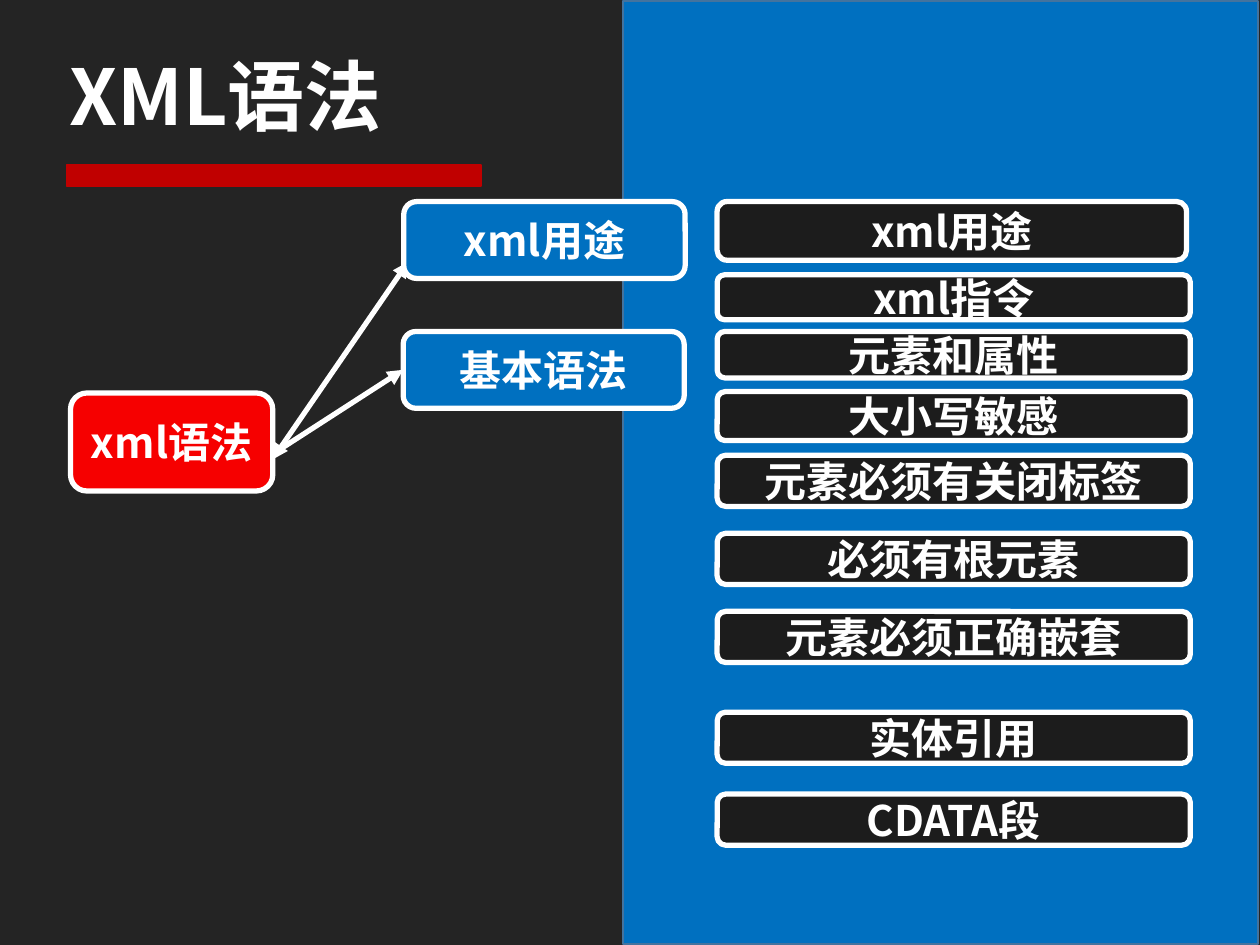
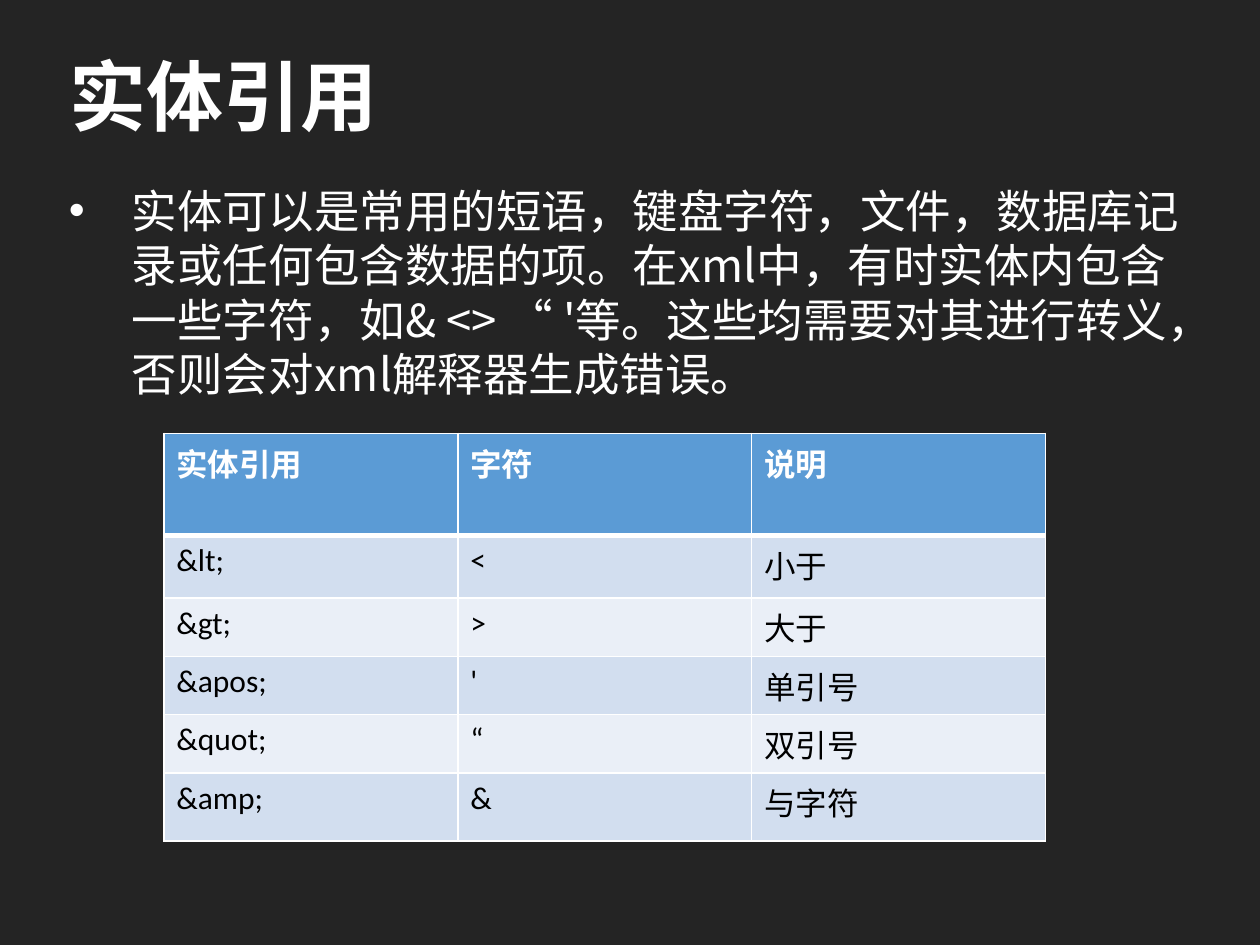
from dataclasses import dataclass

from lxml import etree
from pptx import Presentation
from pptx.dml.color import RGBColor
from pptx.enum import shapes, text
from pptx.oxml import ns
from pptx.util import Pt

SANS = "Noto Sans CJK SC"
WHITE, BLACK, DARK = "FFFFFF", "000000", "242424"
BLUE, RED, CRIMSON, COAL = "0070C0", "F60000", "C00000", "1C1C1C"
EDGE, HEAD = "43739E", "5B9BD5"
BANDS = ("D2DEEF", "EAEFF7")


@dataclass
class Box:
    words: str
    left: float
    top: float
    width: float
    height: float
    fill: str
    line: str = WHITE
    weight: float = 3
    kind: shapes.MSO_SHAPE = shapes.MSO_SHAPE.FLOWCHART_ALTERNATE_PROCESS


@dataclass
class Row:
    words: str
    top: float
    height: float = 29.2
    width: float = 270.4


@dataclass
class Arrow:
    start: tuple[float, float]
    end: tuple[float, float]
    tips: tuple[str, ...]


PANEL = Box("", 356, 0.7, 363, 538.8, BLUE, EDGE, 1, shapes.MSO_SHAPE.RECTANGLE)
RULE = Box("", 38, 94.2, 237, 12.2, CRIMSON, CRIMSON, 1, shapes.MSO_SHAPE.RECTANGLE)
ROOT = Box("xml语法", 40.3, 224.6, 115.6, 56, RED)
USE = Box("xml用途", 230.7, 115.2, 160.8, 43.9, BLUE)
BASE = Box("基本语法", 230.4, 189.4, 160.6, 43.9, BLUE)
TOPICS = [
    Row("xml用途", 115.2, 33.5, 268.2),
    Row("xml指令", 157, 25.7),
    Row("元素和属性", 189.4, 26.6),
    Row("大小写敏感", 223.8, 28),
    Row("元素必须有关闭标签", 260.2),
    Row("必须有根元素", 304.8),
    Row("元素必须正确嵌套", 349.4),
    Row("实体引用", 407),
    Row("CDATA段", 453.8),
]
TO_USE = Arrow((155.7, 262.6), (233.3, 149.6), ("headEnd", "tailEnd"))
TO_BASE = Arrow((158.4, 257.8), (230.4, 211.4), ("tailEnd",))

NOTE = (
    "实体可以是常用的短语，键盘字符，文件，数据库记录或任何包含数据的项。"
    "在xml中，有时实体内包含一些字符，如& <> “ '等。"
    "这些均需要对其进行转义，否则会对xml解释器生成错误。"
)
CELLS = [
    ("实体引用", "字符", "说明"),
    ("&lt;", "<", "小于"),
    ("&gt;", ">", "大于"),
    ("&apos;", "'", "单引号"),
    ("&quot;", "“", "双引号"),
    ("&amp;", "&", "与字符"),
]
HEIGHTS = (58.3, 35.8, 31.7, 26.6, 20.9, 38.9)


def tint(code: str) -> RGBColor:
    return RGBColor.from_string(code)


def paint(item, code: str) -> None:
    item.fill.solid()
    item.fill.fore_color.rgb = tint(code)


def style(para, size: float, code: str = WHITE, bold: bool = True, face: str = SANS) -> None:
    font = para.font
    font.size, font.bold, font.name = Pt(size), bold, face
    font.color.rgb = tint(code)
    base = para._p.pPr.find(ns.qn("a:defRPr"))
    etree.SubElement(base, ns.qn("a:ea"), typeface=SANS)


def place(item, left: float, top: float, width: float, height: float) -> None:
    item.left, item.top = Pt(left), Pt(top)
    item.width, item.height = Pt(width), Pt(height)


def start(deck, layout: int, title: str):
    slide = deck.slides.add_slide(deck.slide_layouts[layout])
    paint(slide.background, DARK)
    head = slide.shapes.title
    place(head, 32.4, 16.6, 654.5, 75)
    frame = head.text_frame
    frame.text = title
    frame.auto_size = text.MSO_AUTO_SIZE.NONE
    frame.vertical_anchor = text.MSO_ANCHOR.MIDDLE
    para = frame.paragraphs[0]
    para.alignment = text.PP_ALIGN.LEFT
    style(para, 44)
    return slide


def draw(slide, box: Box):
    shape = slide.shapes.add_shape(
        box.kind, Pt(box.left), Pt(box.top), Pt(box.width), Pt(box.height)
    )
    shape.shadow.inherit = False
    paint(shape, box.fill)
    shape.line.color.rgb = tint(box.line)
    shape.line.width = Pt(box.weight)
    if box.words:
        frame = shape.text_frame
        frame.text = box.words
        frame.word_wrap = False
        frame.vertical_anchor = text.MSO_ANCHOR.MIDDLE
        para = frame.paragraphs[0]
        para.alignment = text.PP_ALIGN.CENTER
        style(para, 24)
    return shape


def point(slide, arrow: Arrow):
    link = slide.shapes.add_connector(
        shapes.MSO_CONNECTOR.STRAIGHT, *map(Pt, arrow.start + arrow.end)
    )
    link.line.color.rgb = tint(WHITE)
    link.line.width = Pt(3)
    edge = link._element.spPr.find(ns.qn("a:ln"))
    for tip in arrow.tips:
        etree.SubElement(edge, ns.qn(f"a:{tip}"), type="triangle")
    etree.SubElement(link._element.spPr, ns.qn("a:effectLst"))
    return link


def underline(cell) -> None:
    edge = etree.Element(ns.qn("a:lnB"), w=str(Pt(3)))
    fill = etree.SubElement(edge, ns.qn("a:solidFill"))
    etree.SubElement(fill, ns.qn("a:srgbClr"), val=WHITE)
    cell._tc.get_or_add_tcPr().insert(0, edge)


def syntax(deck) -> None:
    slide = start(deck, 5, "XML语法")
    for box in (PANEL, ROOT, RULE):
        draw(slide, box)
    point(slide, TO_USE)
    draw(slide, USE)
    for row in TOPICS:
        draw(slide, Box(row.words, 409.8, row.top, row.width, row.height, COAL))
    base = draw(slide, BASE)
    point(slide, TO_BASE).end_connect(base, 1)


def entity(deck) -> None:
    slide = start(deck, 1, "实体引用")
    body = slide.placeholders[1]
    place(body, 32.2, 100.8, 656, 399.6)
    frame = body.text_frame
    frame.text = NOTE
    frame.auto_size = text.MSO_AUTO_SIZE.NONE
    para = frame.paragraphs[0]
    para.space_before = Pt(10)
    para.line_spacing = 1.0
    style(para, 26, bold=False)
    para._p.pPr.set("marL", str(Pt(36)))
    para._p.pPr.set("indent", str(Pt(-36)))

    grid = slide.shapes.add_table(
        len(CELLS), 3, Pt(93.6), Pt(247.7), Pt(504), Pt(sum(HEIGHTS))
    ).table
    for r, (words, height) in enumerate(zip(CELLS, HEIGHTS)):
        grid.rows[r].height = Pt(height)
        top = r == 0
        for c, word in enumerate(words):
            cell = grid.cell(r, c)
            cell.text = word
            paint(cell, HEAD if top else BANDS[(r - 1) % 2])
            style(cell.text_frame.paragraphs[0], 18, WHITE if top else BLACK, top, "Calibri")
            if top:
                underline(cell)


def main() -> None:
    deck = Presentation()
    deck.slide_width, deck.slide_height = Pt(720), Pt(540)
    syntax(deck)
    entity(deck)
    deck.save("out.pptx")


if __name__ == "__main__":
    main()
